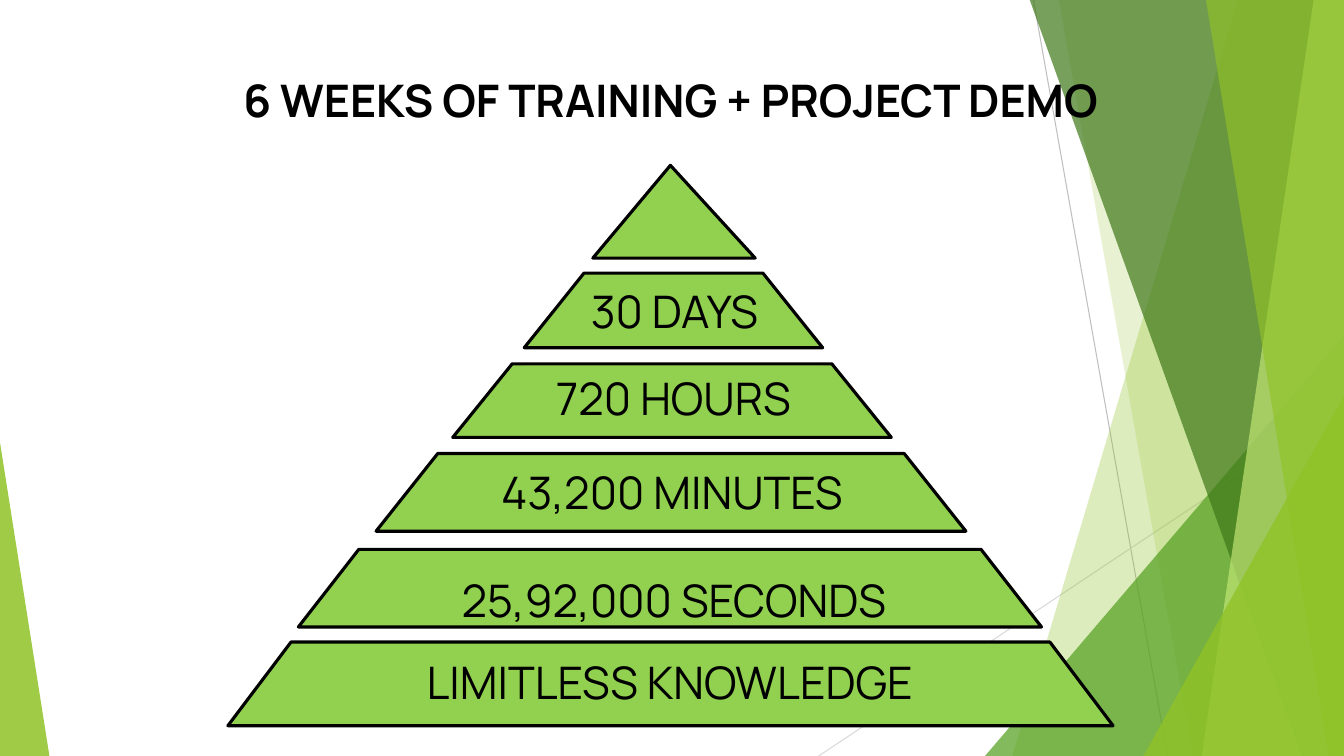
from dataclasses import dataclass
from typing import Optional

import lxml.etree
import pptx
import pptx.dml.color
import pptx.enum.dml
import pptx.enum.shapes
import pptx.enum.text
import pptx.oxml.ns
import pptx.util

Inches = pptx.util.Inches
Preset = pptx.enum.shapes.MSO_SHAPE
Anchor = pptx.enum.text.MSO_ANCHOR
AutoSize = pptx.enum.text.MSO_AUTO_SIZE

SLIDE_WIDTH, SLIDE_HEIGHT = 13.33, 7.5
BAND_TOP = -0.01
COLOURS = {
    "text": "000000",
    "outline": "000000",
    "tier": "92D050",
    "lime": "90C226",
    "leaf": "54A021",
    "forest": "3F7819",
    "pale": "C0E474",
    "ray": "BFBFBF",
    "faint_ray": "D9D9D9",
}
FONT_FORMAT = {"name": "Manrope", "size": pptx.util.Pt(32), "bold": False}
MARGIN_SIDES = ("margin_left", "margin_top", "margin_right", "margin_bottom")


@dataclass
class Box:
    left: float
    top: float
    width: float
    height: float

    def lengths(self) -> list:
        return [Inches(v) for v in (self.left, self.top, self.width, self.height)]


@dataclass
class Ray:
    start: tuple[float, float]
    end: tuple[float, float]
    colour: str


@dataclass
class Band:
    """A strip from a slanted left edge to the right side of the slide."""
    top_x: float
    bottom_x: float
    colour: str
    opacity: int


@dataclass
class Corner:
    """A right-angled triangle; apex is 0 at the left and 1 at the right."""
    box: Box
    apex: float
    colour: str
    opacity: int


@dataclass
class Tier:
    box: Box
    slant: float
    preset: Preset = Preset.TRAPEZOID


@dataclass
class Label:
    text: str
    box: Box
    centred: bool = False
    filled: bool = False
    bold: bool = False
    bottom_margin: float = 0


RAYS = [
    Ray((10.25, 0), (11.58, 7.5), "ray"),
    Ray((13.33, 4.03), (8.12, 7.5), "faint_ray"),
]
FACETS = [
    Band(12.28, 10.04, "lime", 30),
    Band(10.5, 11.83, "lime", 20),
    Corner(Box(9.77, 3.33, 3.56, 4.17), 1, "leaf", 72),
    Band(10.21, 12.91, "forest", 70),
    Band(13.03, 11.92, "pale", 70),
    Band(11.96, 13.18, "lime", 65),
    Corner(Box(11.34, 3.93, 1.99, 3.57), 1, "lime", 80),
    Corner(Box(0, 4.39, 0.49, 3.11), 0, "lime", 85),
]
TIERS = [
    Tier(Box(5.88, 1.64, 1.61, 0.92), 0.478, Preset.ISOSCELES_TRIANGLE),
    Tier(Box(5.2, 2.71, 2.96, 0.74), 0.801),
    Tier(Box(4.49, 3.61, 4.35, 0.73), 0.808),
    Tier(Box(3.73, 4.5, 5.85, 0.77), 0.794),
    Tier(Box(2.96, 5.45, 7.37, 0.77), 0.779),
    Tier(Box(2.26, 6.37, 8.78, 0.83), 0.755),
]
LABELS = [
    Label("6 WEEKS OF TRAINING + PROJECT DEMO", Box(-0.01, 0.44, 13.33, 1.72),
          centred=True, bold=True, bottom_margin=0.67),
    Label("30 DAYS", Box(5.48, 2.77, 2.42, 0.64)),
    Label("720 HOURS", Box(5.2, 3.63, 2.96, 0.64), filled=True),
    Label("43,200 MINUTES", Box(4.49, 4.56, 4.35, 0.64), filled=True),
    Label("25,92,000 SECONDS", Box(1.79, 5.28, 9.79, 1.29), centred=True),
    Label("LIMITLESS KNOWLEDGE", Box(1.75, 6.04, 9.79, 1.38), centred=True),
]


def rgb(colour: str) -> pptx.dml.color.RGBColor:
    return pptx.dml.color.RGBColor.from_string(COLOURS[colour])


def paint(shape, colour: str, opacity: int = 100, outline: Optional[str] = None) -> None:
    shape.shadow.inherit = False
    shape.fill.solid()
    shape.fill.fore_color.rgb = rgb(colour)
    if opacity < 100:
        srgb = shape.fill._xPr.find(".//" + pptx.oxml.ns.qn("a:srgbClr"))
        alpha = lxml.etree.SubElement(srgb, pptx.oxml.ns.qn("a:alpha"))
        alpha.set("val", str(opacity * 1000))
    if outline:
        shape.line.color.rgb = rgb(outline)
        shape.line.width = pptx.util.Pt(2.25)
    else:
        shape.line.fill.background()


def draw_ray(shapes, ray: Ray) -> None:
    ends = [Inches(v) for v in (*ray.start, *ray.end)]
    line = shapes.add_connector(pptx.enum.shapes.MSO_CONNECTOR.STRAIGHT, *ends)
    line.line.color.rgb = rgb(ray.colour)
    line.line.width = pptx.util.Pt(0.75)
    lxml.etree.SubElement(line._element.spPr, pptx.oxml.ns.qn("a:effectLst"))


def draw_band(shapes, band: Band) -> None:
    corners = [(band.top_x, BAND_TOP), (SLIDE_WIDTH, BAND_TOP),
               (SLIDE_WIDTH, SLIDE_HEIGHT), (band.bottom_x, SLIDE_HEIGHT)]
    first, *others = [(Inches(x), Inches(y)) for x, y in corners]
    outline = shapes.build_freeform(*first, scale=1.0)
    outline.add_line_segments(others, close=True)
    paint(outline.convert_to_shape(), band.colour, band.opacity)


def draw_corner(shapes, corner: Corner) -> None:
    triangle = shapes.add_shape(Preset.ISOSCELES_TRIANGLE, *corner.box.lengths())
    triangle.adjustments[0] = corner.apex
    paint(triangle, corner.colour, corner.opacity)


def draw_tier(shapes, tier: Tier) -> None:
    level = shapes.add_shape(tier.preset, *tier.box.lengths())
    level.adjustments[0] = tier.slant
    paint(level, "tier", outline="outline")


def draw_label(shapes, label: Label) -> None:
    if label.filled:
        holder = shapes.add_shape(Preset.RECTANGLE, *label.box.lengths())
        paint(holder, "tier")
    else:
        holder = shapes.add_textbox(*label.box.lengths())
    frame = holder.text_frame
    frame.word_wrap = True
    frame.vertical_anchor = Anchor.MIDDLE if label.centred else Anchor.TOP
    frame.auto_size = AutoSize.NONE if label.centred else AutoSize.SHAPE_TO_FIT_TEXT
    paragraph = frame.paragraphs[0]
    paragraph.alignment = pptx.enum.text.PP_ALIGN.CENTER
    if label.centred:
        paragraph.line_spacing = 1.1
        for side, margin in zip(MARGIN_SIDES, (0, 0, 0, label.bottom_margin)):
            setattr(frame, side, Inches(margin))
    run = paragraph.add_run()
    run.text = label.text
    for attribute, value in {**FONT_FORMAT, "bold": label.bold}.items():
        setattr(run.font, attribute, value)
    run.font.color.rgb = rgb("text")


def main() -> None:
    deck = pptx.Presentation()
    deck.slide_width, deck.slide_height = Inches(SLIDE_WIDTH), Inches(SLIDE_HEIGHT)
    shapes = deck.slides.add_slide(deck.slide_layouts[6]).shapes
    drawers = {Ray: draw_ray, Band: draw_band, Corner: draw_corner,
               Tier: draw_tier, Label: draw_label}
    for element in [*RAYS, *FACETS, *TIERS, *LABELS]:
        drawers[type(element)](shapes, element)
    deck.save("out.pptx")


if __name__ == "__main__":
    main()
